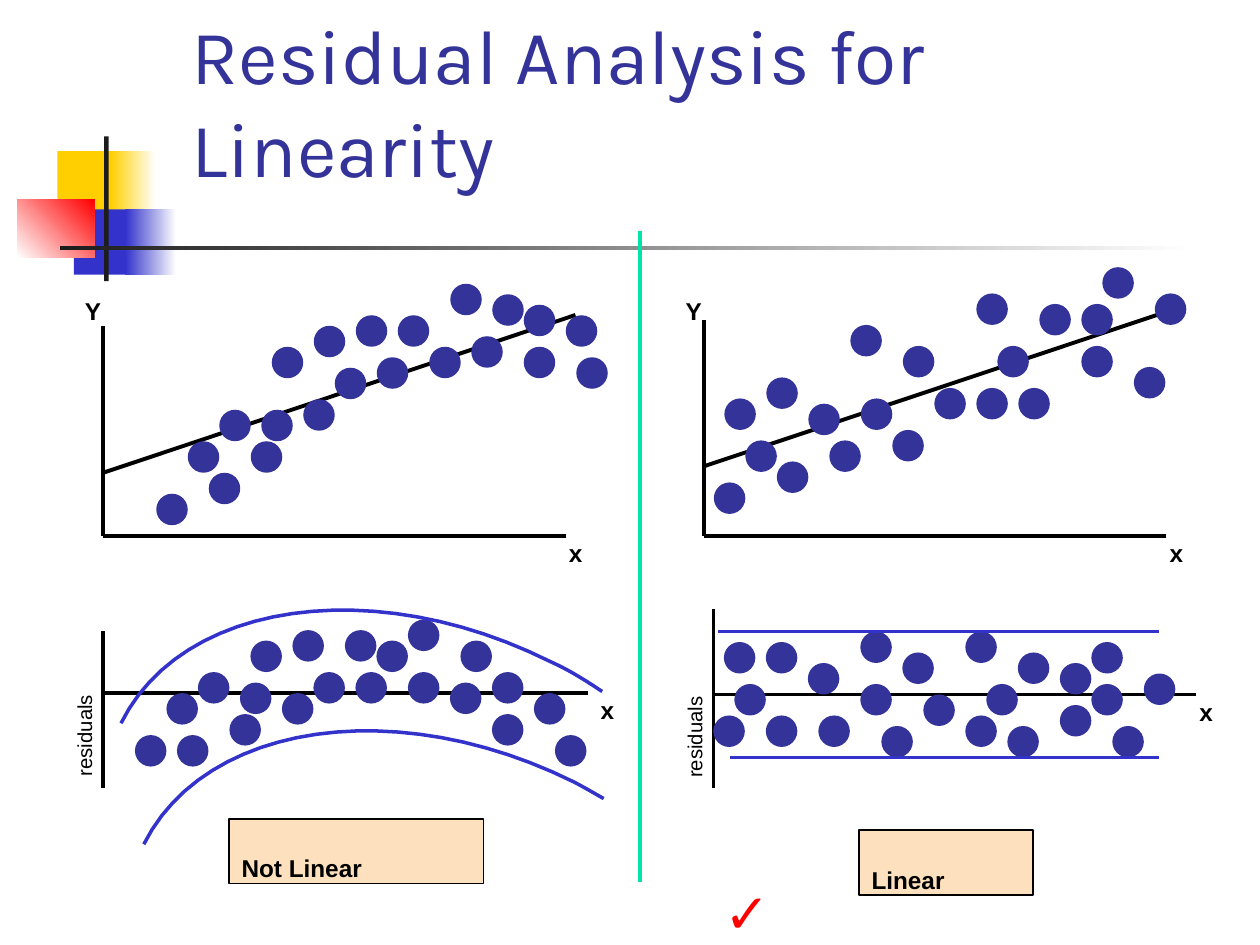
from lxml.etree import SubElement
from pptx import Presentation
from pptx.dml.color import RGBColor
from pptx.enum.shapes import MSO_CONNECTOR, MSO_SHAPE
from pptx.enum.text import MSO_ANCHOR, MSO_AUTO_SIZE, PP_ALIGN
from pptx.oxml.ns import qn
from pptx.util import Cm, Pt

RECT, OVAL = MSO_SHAPE.RECTANGLE, MSO_SHAPE.OVAL
STRAIGHT = MSO_CONNECTOR.STRAIGHT
LEFT, BOTTOM, TOP = PP_ALIGN.LEFT, MSO_ANCHOR.BOTTOM, MSO_ANCHOR.TOP
FIXED, GROW = MSO_AUTO_SIZE.NONE, MSO_AUTO_SIZE.SHAPE_TO_FIT_TEXT

HUES = {"navy": "333399", "blue": "3333CC", "gold": "FFCF01", "red": "FF0000",
        "dark": "1C1C1C", "black": "000000", "white": "FFFFFF",
        "peach": "FDE0BD", "mint": "00E4A8"}
STEP = 2.54 / 12  # pitch of the dot grid in cm
DOT = 3 * STEP

# Dots as (column, row) on the grid of their plot
CURVE = [(0, 20), (5, 18), (23, 3), (26, 6), (32, 1), (9, 15), (30, 5),
         (35, 6), (35, 2), (39, 3), (28, 0), (17, 8), (19, 3), (15, 4),
         (3, 15), (6, 12), (10, 12), (21, 7), (11, 6), (40, 7), (14, 11)]
TREND = [(0, 21), (3, 17), (25, 3), (27, 8), (35, 4), (6, 19), (29, 12),
         (35, 8), (37, 0.5), (31, 4), (17, 16), (18, 8), (13, 6), (1, 13),
         (5, 11), (9, 13.5), (21, 12), (14, 13), (40, 10), (11, 17),
         (42, 3), (25, 12)]
ARCHED = [(0, 11), (4, 11), (23, 2), (26, 0), (30, 6), (9, 9), (31, 2),
          (34, 9), (34, 5), (38, 7), (26, 5), (17, 5), (20, 1), (15, 1),
          (3, 7), (6, 5), (10, 6), (21, 5), (11, 2), (40, 11), (14, 7)]
EVEN = [(9, 3), (5, 1), (0, 8), (2, 5), (1, 1), (14, 5), (14, 0), (5, 8),
        (24, 0), (18, 2), (16, 9), (10, 8), (33, 3), (24, 8), (20, 6),
        (33, 7), (26, 5), (28, 9), (29, 2), (38, 9), (36, 1), (41, 4),
        (36, 5)]


def rgb(hue):
    return RGBColor.from_string(HUES[hue])


def block(shapes, kind, box, hue, fade=None, angle=0):
    """Add a borderless shape, plain or fading from one hue to another."""
    shape = shapes.add_shape(kind, *map(Cm, box))
    shape.shadow.inherit = False
    shape.line.fill.background()
    if fade:
        shape.fill.gradient()
        shape.fill.gradient_angle = angle
        for stop, tint in zip(shape.fill.gradient_stops, (hue, fade)):
            stop.color.rgb = rgb(tint)
    else:
        shape.fill.solid()
        shape.fill.fore_color.rgb = rgb(hue)
    return shape


def line(shapes, x1, y1, x2, y2, hue="black", width=2):
    rule = shapes.add_connector(STRAIGHT, Cm(x1), Cm(y1), Cm(x2), Cm(y2))
    rule.line.color.rgb = rgb(hue)
    rule.line.width = Pt(width)
    SubElement(rule._element.spPr, qn("a:effectLst"))


def write(shape, text, size=24, bold=True, hue="black", wrap=True):
    """Fill a shape with one line of subscript text."""
    frame = shape.text_frame
    frame.word_wrap, frame.auto_size = wrap, GROW
    frame.vertical_anchor = TOP
    para = frame.paragraphs[0]
    para.text, para.alignment = text, LEFT
    font = para.font
    font.name, font.size, font.bold = "Arial", Pt(size), bold
    font.color.rgb = rgb(hue)
    para.runs[0].font._element.set("baseline", "-25000")


def label(shapes, text, box, turn=0, **style):
    note = shapes.add_textbox(*map(Cm, box))
    write(note, text, **style)
    note.rotation = turn


def scatter(shapes, box, start, dots):
    """Draw axes, fitted line and dots; start is the grid's offset."""
    x, y, w, h = box
    base = y + h
    line(shapes, x, y, x, base)
    line(shapes, x, base, x + w, base)
    line(shapes, x, y + 2.95, x + 9.52, y - 0.23, width=2.25)
    plot(shapes, x + start[0], base + start[1], dots)
    label(shapes, "Y", (x - 0.62, base - 5.52, 1.07, 1.27), wrap=False)
    label(shapes, "x", (x + 9.14, base - 0.64, 1.1, 1.27))


def spread(shapes, box, mid, start, tag, dots):
    """Draw residuals about the axis at mid; tag is the x label's offset."""
    x, y, w, h = box
    line(shapes, x, y, x, y + h)
    line(shapes, x, mid, x + w, mid)
    plot(shapes, x + start[0], mid + start[1], dots)
    label(shapes, "x", (x + tag, mid - 0.64, 1.07, 1.27))
    label(shapes, "residuals", (x - 2.5, mid - 0.43, 3.63, 1.09), 270,
          size=20, bold=False)


def plot(shapes, x, y, dots):
    for col, row in dots:
        block(shapes, OVAL, (x + col * STEP, y + row * STEP, DOT, DOT), "navy")


def arc(shapes, curves, count=24):
    """Draw joined cubic curves, each given by four points."""
    points = []
    for ends in curves:
        for i in range(count + 1):
            t = i / count
            parts = ((1 - t) ** 3, 3 * t * (1 - t) ** 2,
                     3 * t * t * (1 - t), t ** 3)
            points.append([Cm(sum(p * e for p, e in zip(parts, axis)))
                           for axis in zip(*ends)])
    pen = shapes.build_freeform(*points[0])
    pen.add_line_segments(points[1:], close=False)
    shape = pen.convert_to_shape()
    shape.shadow.inherit = False
    shape.fill.background()
    shape.line.color.rgb = rgb("blue")
    shape.line.width = Pt(2)


def verdict(shapes, text, box):
    card = block(shapes, RECT, box, "peach")
    card.line.color.rgb = rgb("black")
    card.line.width = Pt(1)
    write(card, text)


def emblem(shapes, x, y):
    """Draw the coloured squares and crossing bars beside the title."""
    for box, *look in (
            ((0.81, 0.3, 1.22, 1.32), "gold"),
            ((1.88, 0.3, 0.91, 1.32), "gold", "white"),
            ((1.14, 1.47, 1.17, 1.32), "blue"),
            ((2.18, 1.47, 1.02, 1.32), "blue", "white"),
            ((0, 1.27, 1.55, 1.17), "white", "red", 45),
            ((1.75, 0, 0.09, 2.92), "dark"),
            ((0.86, 2.2, 22.86, 0.09), "dark", "white")):
        block(shapes, RECT, (x + box[0], y + box[1], *box[2:]), *look)


def heading(title, text, box):
    title.left, title.top, title.width, title.height = map(Cm, box)
    frame = title.text_frame
    frame.auto_size, frame.vertical_anchor = FIXED, BOTTOM
    frame.word_wrap = True
    para = frame.paragraphs[0]
    para.text, para.alignment = text, LEFT
    para.font.name, para.font.size = "Karla", Pt(44)
    para.font.color.rgb = rgb("navy")


def main():
    deck = Presentation()
    deck.slide_width, deck.slide_height = Cm(25.4), Cm(19.05)
    shapes = deck.slides.add_slide(deck.slide_layouts[5]).shapes
    emblem(shapes, 0.35, 2.75)
    heading(shapes.title, "Residual Analysis for Linearity",
            (3.61, 1.27, 19.66, 2.74))

    scatter(shapes, (2.08, 6.58, 9.32, 4.22), (1.07, -5.08), CURVE)
    spread(shapes, (2.08, 12.73, 9.78, 3.15), 13.97, (0.64, -1.48), 9.78,
           ARCHED)
    arc(shapes, [((2.44, 14.58), (3.66, 12.12), (7.54, 11.56), (11.1, 13.34)),
                 ((11.1, 13.34), (11.48, 13.51), (11.81, 13.72),
                  (12.14, 13.94))])
    arc(shapes, [((2.9, 17.02), (4.14, 14.55), (8.03, 14), (11.58, 15.77)),
                 ((11.58, 15.77), (11.79, 15.88), (11.96, 15.98),
                  (12.17, 16.1))])
    verdict(shapes, "Not Linear", (4.62, 16.51, 5.13, 1.3))

    scatter(shapes, (14.19, 6.45, 9.32, 4.35), (0.2, -5.52), TREND)
    spread(shapes, (14.38, 12.27, 9.73, 3.61), 14, (0, -1.27), 9.55, EVEN)
    line(shapes, 14.48, 12.73, 23.37, 12.73, "blue")
    line(shapes, 14.71, 15.27, 23.37, 15.27, "blue")
    verdict(shapes, "Linear", (17.32, 16.74, 3.51, 1.3))
    label(shapes, "✓", (14.35, 16.31, 3.63, 2.54), size=54, bold=False,
          hue="red")

    line(shapes, 12.9, 4.65, 12.9, 17.78, "mint", 2.25)
    deck.save("out.pptx")


if __name__ == "__main__":
    main()
